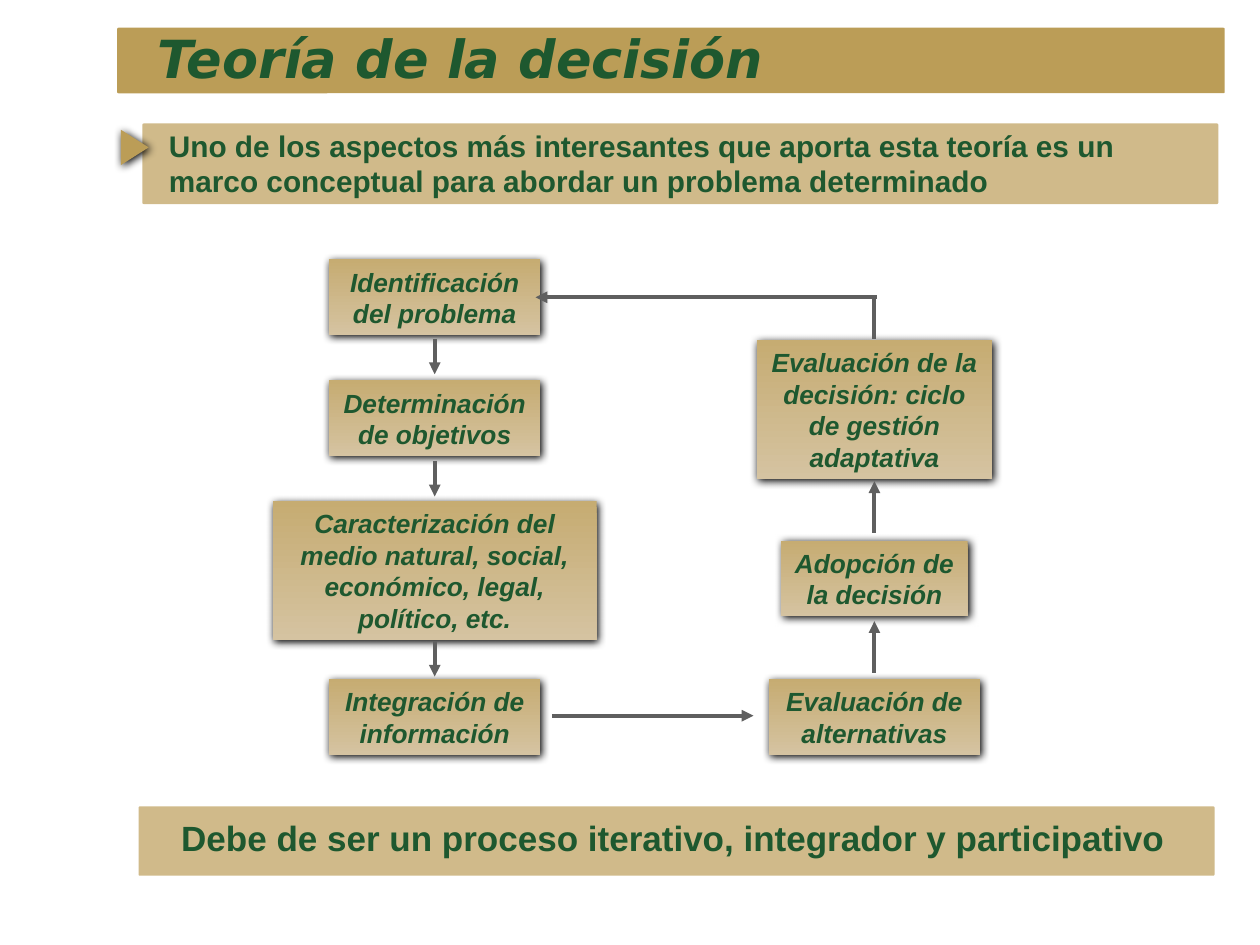
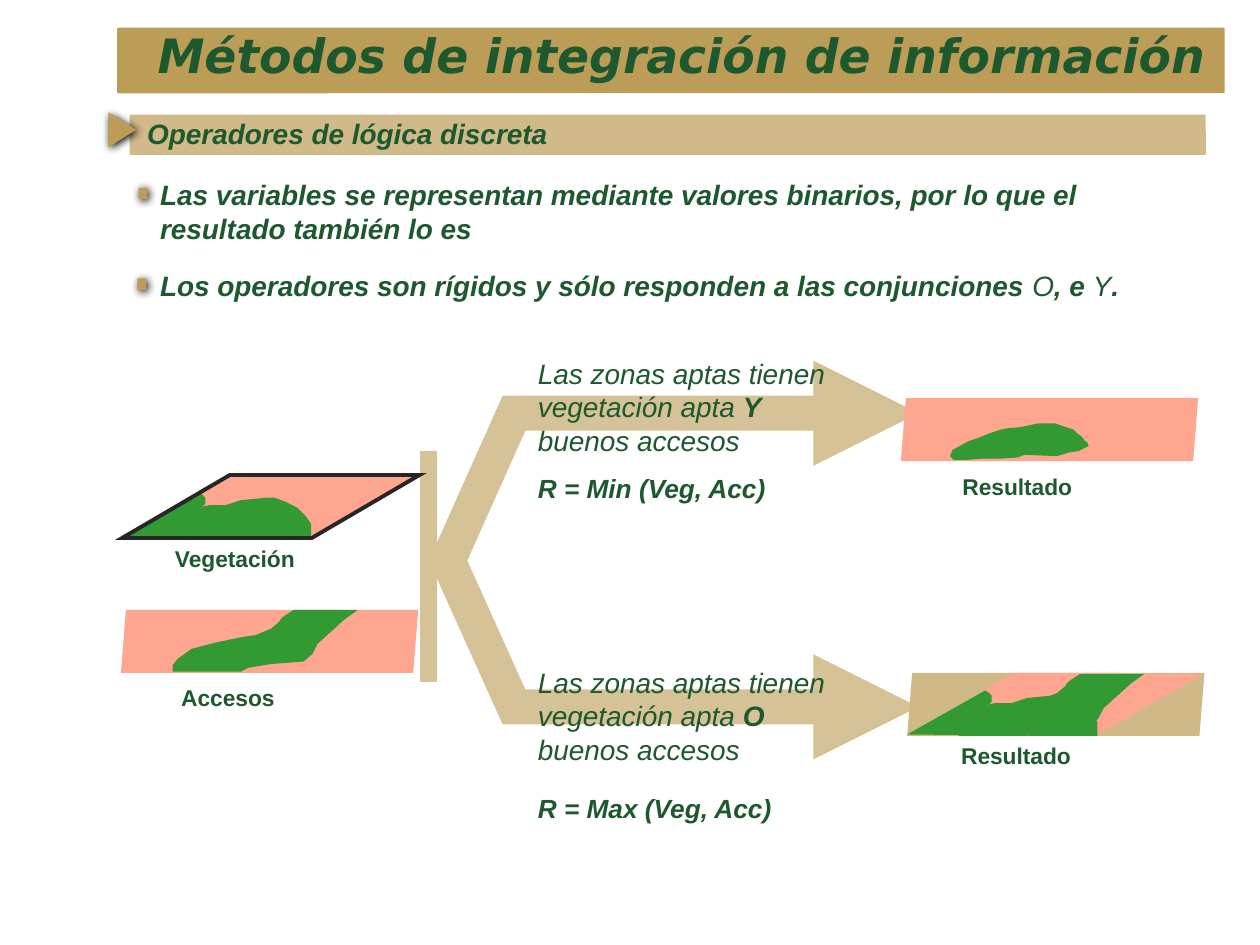
import pptx
import pptx.dml.color
import pptx.enum.shapes
import pptx.enum.text
import pptx.oxml.ns
import pptx.util
from lxml import etree

Inches = pptx.util.Inches
Pt = pptx.util.Pt
SHAPES = pptx.enum.shapes.MSO_SHAPE
ALIGN = pptx.enum.text.PP_ALIGN
ANCHOR = pptx.enum.text.MSO_ANCHOR
qn = pptx.oxml.ns.qn

COLORS = {
    "band": "BB9D57",
    "panel": "D0BA8A",
    "box_top": "C6AC72",
    "box_bottom": "D5C3A1",
    "text": "1E582F",
    "flow": "5F5F5F",
    "fork": "D5C297",
    "base": "CFB987",
    "unfit": "FFA691",
    "fit": "339933",
    "outline": "262626",
    "shadow": "000000",
}

FLOW_BOXES = [
    ("Identificación del problema", 3.45, 2.06, 1.68, 0.6),
    ("Determinación de objetivos", 3.45, 3.02, 1.68, 0.6),
    ("Caracterización del medio natural, social, económico, legal, político, etc.", 3.45, 3.98, 2.57, 1.1),
    ("Integración de información", 3.45, 5.39, 1.68, 0.6),
    ("Evaluación de alternativas", 6.94, 5.39, 1.68, 0.6),
    ("Adopción de la decisión", 6.94, 4.29, 1.48, 0.6),
    ("Evaluación de la decisión: ciclo de gestión adaptativa", 6.94, 2.7, 1.87, 1.1),
]
FLOW_ARROWS = [
    (3.45, 2.69, 3.45, 2.97),
    (3.45, 3.66, 3.45, 3.94),
    (3.45, 5.09, 3.45, 5.37),
    (4.38, 5.68, 5.98, 5.68),
    (6.94, 5.34, 6.94, 4.93),
    (6.94, 4.23, 6.94, 3.82),
    (6.96, 2.36, 4.25, 2.36),
]

VEGETATION_ZONES = [
    ("unfit", [(247, 426), (331, 378), (258, 378), (249, 389), (243, 414)]),
    ("unfit", [(157, 390), (180, 377), (263, 377), (259, 384), (257, 387), (258, 389), (259, 395),
               (257, 399), (253, 404), (253, 414), (252, 417), (249, 421), (247, 426), (187, 412), (154, 416)]),
    ("fit", [(194, 427), (247, 427), (247, 416), (243, 410), (236, 403), (226, 398), (218, 395), (211, 395),
             (201, 396), (191, 397), (179, 401), (166, 401), (161, 402), (158, 411), (169, 419), (181, 422)]),
    ("fit", [(96, 426), (158, 391), (161, 393), (163, 395), (163, 400), (160, 403), (165, 406), (172, 406),
             (174, 409), (174, 413), (172, 415), (173, 417), (176, 419), (185, 419), (189, 422), (193, 425),
             (194, 427)]),
]
ACCESS_ZONE = [(137, 533), (191, 533), (197, 530), (215, 527), (228, 526), (241, 525), (248, 519), (252, 511),
               (262, 502), (273, 492), (284, 484), (233, 484), (224, 490), (221, 494), (215, 499), (203, 504),
               (190, 506), (171, 510), (152, 515), (141, 523), (137, 528)]
COMMON_ZONE = [(864, 354), (856, 358), (849, 359), (839, 362), (813, 361), (808, 363), (795, 364), (780, 364),
               (767, 365), (757, 365), (754, 362), (756, 357), (760, 355), (769, 350), (778, 347), (785, 344),
               (794, 341), (799, 340), (810, 339), (824, 336), (837, 336), (843, 338), (852, 341), (855, 344),
               (859, 347), (861, 350), (863, 351)]


class Deck:
    """Holds the shared style and draws on the current slide."""

    def __init__(self):
        self.presentation = pptx.Presentation()
        self.presentation.slide_width = Inches(10)
        self.presentation.slide_height = Inches(7.5)
        self.layout = self.presentation.slide_layouts[1]
        self.slide = None

    def color(self, name):
        return pptx.dml.color.RGBColor.from_string(COLORS[name])

    def new_slide(self, title, size, height):
        first = self.slide is None
        self.slide = self.presentation.slides.add_slide(self.layout)
        if first:
            band = self.shape(SHAPES.ROUNDED_RECTANGLE, (0.93, 0.22, 8.79, 0.52), "band", adjustment=0.02)
            self.layout.shapes.element.insert(2, band.element)
        self.placeholder(self.slide.shapes.title, (1.15, 0.16, 8.85, height), [[(title, "bi")]], size,
                         font="DejaVu Sans")

    def set_text(self, frame, paragraphs, size, font="Arial", align=ALIGN.LEFT, anchor=ANCHOR.TOP, gap=0):
        frame.word_wrap = True
        frame.auto_size = pptx.enum.text.MSO_AUTO_SIZE.NONE
        frame.vertical_anchor = anchor
        frame.margin_left = frame.margin_right = Inches(0.1)
        frame.margin_top = frame.margin_bottom = Inches(0.05)
        for index, runs in enumerate(paragraphs):
            paragraph = frame.add_paragraph() if index else frame.paragraphs[0]
            paragraph.alignment = align
            paragraph.space_before = Pt(gap if index else 0)
            for text, style in runs:
                run = paragraph.add_run()
                run.text = text
                run.font.name = font
                run.font.size = Pt(size)
                run.font.bold = "b" in style
                run.font.italic = "i" in style
                run.font.color.rgb = self.color("text")

    def placeholder(self, holder, box, paragraphs, size, **options):
        holder.left, holder.top, holder.width, holder.height = map(Inches, box)
        self.slide.shapes.element.append(holder.element)
        self.set_text(holder.text_frame, paragraphs, size, **options)

    def body(self, box, paragraphs, size, gap=0):
        holder = self.slide.placeholders[1]
        self.placeholder(holder, box, paragraphs, size, gap=gap)
        for paragraph in holder.text_frame.paragraphs:
            properties = paragraph._p.get_or_add_pPr()
            properties.set("marL", "0")
            properties.set("indent", "0")
            etree.SubElement(properties, qn("a:buNone"))

    def text(self, box, runs, size):
        self.set_text(self.slide.shapes.add_textbox(*map(Inches, box)).text_frame, [runs], size)

    def shape(self, kind, box, fill=None, adjustment=None, rotation=0, shadow=False):
        shape = self.slide.shapes.add_shape(kind, *map(Inches, box))
        shape.rotation = rotation
        if adjustment is not None:
            shape.adjustments[0] = adjustment
        self.paint(shape, fill)
        if shadow:
            effects = shape.element.spPr.find(qn("a:effectLst"))
            outer = etree.SubElement(effects, qn("a:outerShdw"), blurRad=str(Pt(5)), dist=str(Pt(1.4)),
                                     dir="2700000", algn="ctr", rotWithShape="0")
            etree.SubElement(outer, qn("a:srgbClr"), val=COLORS["shadow"])
        return shape

    def paint(self, shape, fill):
        shape.line.fill.background()
        shape.shadow.inherit = False
        if fill:
            shape.fill.solid()
            shape.fill.fore_color.rgb = self.color(fill)
        else:
            shape.fill.background()

    def stroke(self, shape, color, width, arrow=False):
        shape.line.color.rgb = self.color(color)
        shape.line.width = Pt(width)
        line = shape.element.spPr.find(qn("a:ln"))
        etree.SubElement(line, qn("a:miter"), lim="800000")
        if arrow:
            etree.SubElement(line, qn("a:tailEnd"), type="triangle")

    def panel(self, box):
        self.shape(SHAPES.ROUNDED_RECTANGLE, box, "panel", adjustment=0.02)

    def pointer(self, left, top):
        self.shape(SHAPES.ISOSCELES_TRIANGLE, (left, top, 0.28, 0.22), "band", rotation=90, shadow=True)

    def marker(self, left, top):
        self.shape(SHAPES.RECTANGLE, (left, top, 0.09, 0.07), "band", rotation=90, shadow=True)

    def flow_box(self, text, center, top, width, height):
        box = self.shape(SHAPES.RECTANGLE, (center - width / 2, top, width, height), shadow=True)
        box.fill.gradient()
        box.fill.gradient_angle = 270
        for stop, name in zip(box.fill.gradient_stops, ("box_top", "box_bottom")):
            stop.color.rgb = self.color(name)
        self.set_text(box.text_frame, [[(text, "bi")]], 15, align=ALIGN.CENTER, anchor=ANCHOR.MIDDLE)

    def line(self, ends, color, width, arrow=False):
        connector = self.slide.shapes.add_connector(pptx.enum.shapes.MSO_CONNECTOR.STRAIGHT, *map(Inches, ends))
        self.stroke(connector, color, width, arrow)
        etree.SubElement(connector.element.spPr, qn("a:effectLst"))

    def outline(self, points, fill=None, shift=(0, 0), closed=True):
        """Draws a freeform from points in hundredths of an inch."""
        moved = [(x + shift[0], y + shift[1]) for x, y in points]
        builder = self.slide.shapes.build_freeform(*moved[0], scale=Inches(0.01))
        builder.add_line_segments(moved[1:], close=closed)
        shape = builder.convert_to_shape()
        self.paint(shape, fill)
        return shape

    def tile(self, left, top, fill):
        self.shape(SHAPES.PARALLELOGRAM, (left, top, 2.36, 0.5), fill, adjustment=0.08)

    def label(self, left, top, text):
        self.text((left, top, 1.3, 0.32), [(text, "b")], 13)


def decision_slide(deck):
    """Builds the decision cycle."""
    deck.new_slide("Teoría de la decisión", 30, 0.6)
    for box in FLOW_BOXES:
        deck.flow_box(*box)
    for ends in FLOW_ARROWS:
        deck.line(ends, "flow", 2.25, arrow=True)
    deck.line((6.94, 2.69, 6.94, 2.36), "flow", 2.25)
    deck.panel((1.13, 0.98, 8.54, 0.64))
    deck.body((1.24, 0.96, 8.31, 0.67), [[(
        "Uno de los aspectos más interesantes que aporta esta teoría es un marco conceptual "
        "para abordar un problema determinado", "b")]], 17)
    deck.pointer(0.93, 1.06)
    deck.panel((1.1, 6.4, 8.54, 0.55))
    deck.text((1.34, 6.43, 8.06, 0.43),
              [("Debe de ser un proceso iterativo, integrador y participativo", "b")], 20)


def integration_slide(deck):
    """Builds the comparison of the discrete operators."""
    deck.new_slide("Métodos de integración de información", 27, 0.55)
    for start, end in ((439, 561), (451, 328)):
        fork = deck.outline([(353, start), (408, end), (729, end)], closed=False)
        deck.stroke(fork, "fork", 20, arrow=True)

    deck.panel((1.03, 0.91, 8.54, 0.32))
    deck.pointer(0.83, 0.92)
    deck.text((1.07, 0.88, 3.6, 0.37), [("Operadores de lógica discreta", "bi")], 16)
    deck.body((1.17, 1.36, 8.3, 1.07), [
        [("Las variables se representan mediante valores binarios, por lo que el resultado también lo es", "bi")],
        [("Los operadores son rígidos y sólo responden a las conjunciones ", "bi"), ("O", "i"),
         (", e ", "bi"), ("Y", "i"), (".", "bi")],
    ], 16, gap=13.5)
    deck.marker(1.09, 1.5)
    deck.marker(1.08, 2.22)

    for fill, points in VEGETATION_ZONES:
        deck.outline(points, fill)
    deck.label(1.29, 4.27, "Vegetación")
    deck.tile(0.96, 4.84, "unfit")
    deck.outline(ACCESS_ZONE, "fit")
    deck.label(1.34, 5.38, "Accesos")

    for top, operator, formula_top, formula in ((2.78, "Y", 3.7, "Min"), (5.23, "O", 6.24, "Max")):
        deck.text((4.17, top, 2.61, 0.9), [("Las zonas aptas tienen vegetación apta ", "i"),
                                           (operator, "bi"), (" buenos accesos", "i")], 16)
        deck.text((4.17, formula_top, 2.28, 0.35), [(f"R = {formula} (Veg, Acc)", "bi")], 15)

    deck.tile(7.15, 3.16, "unfit")
    deck.outline(COMMON_ZONE, "fit")
    deck.label(7.54, 3.7, "Resultado")
    deck.tile(7.2, 5.34, "base")
    for fill, points in VEGETATION_ZONES:
        deck.outline(points, fill, shift=(624, 157))
    deck.outline(ACCESS_ZONE, "fit", shift=(624, 51))
    deck.label(7.53, 5.84, "Resultado")

    deck.line((3.4, 3.58, 3.4, 5.41), "fork", 10)
    frame = deck.shape(SHAPES.PARALLELOGRAM, (0.97, 3.77, 2.36, 0.5), adjustment=1.71)
    deck.stroke(frame, "outline", 2.25)


def main():
    """Builds and saves the presentation."""
    deck = Deck()
    decision_slide(deck)
    integration_slide(deck)
    deck.presentation.save("out.pptx")


if __name__ == "__main__":
    main()
